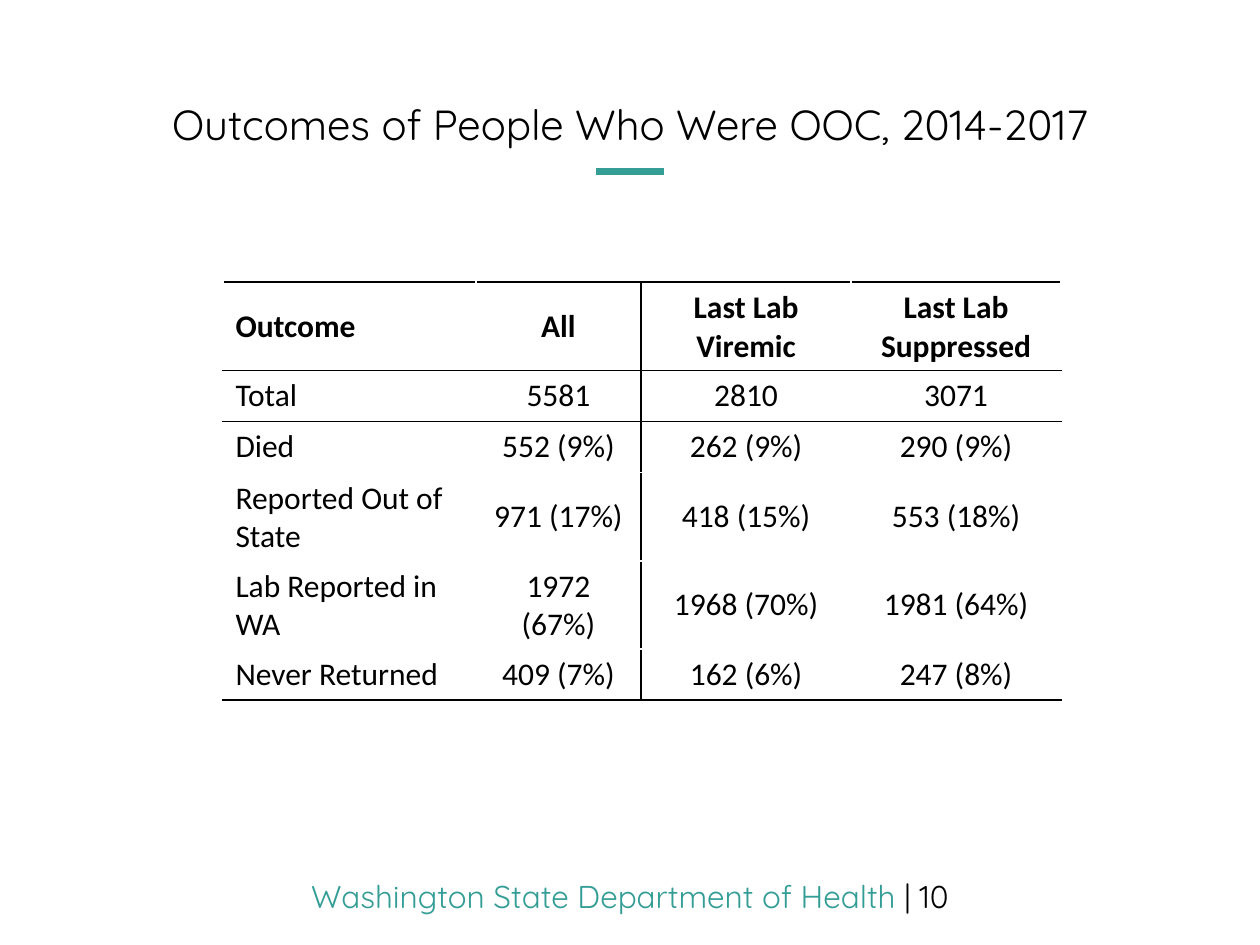
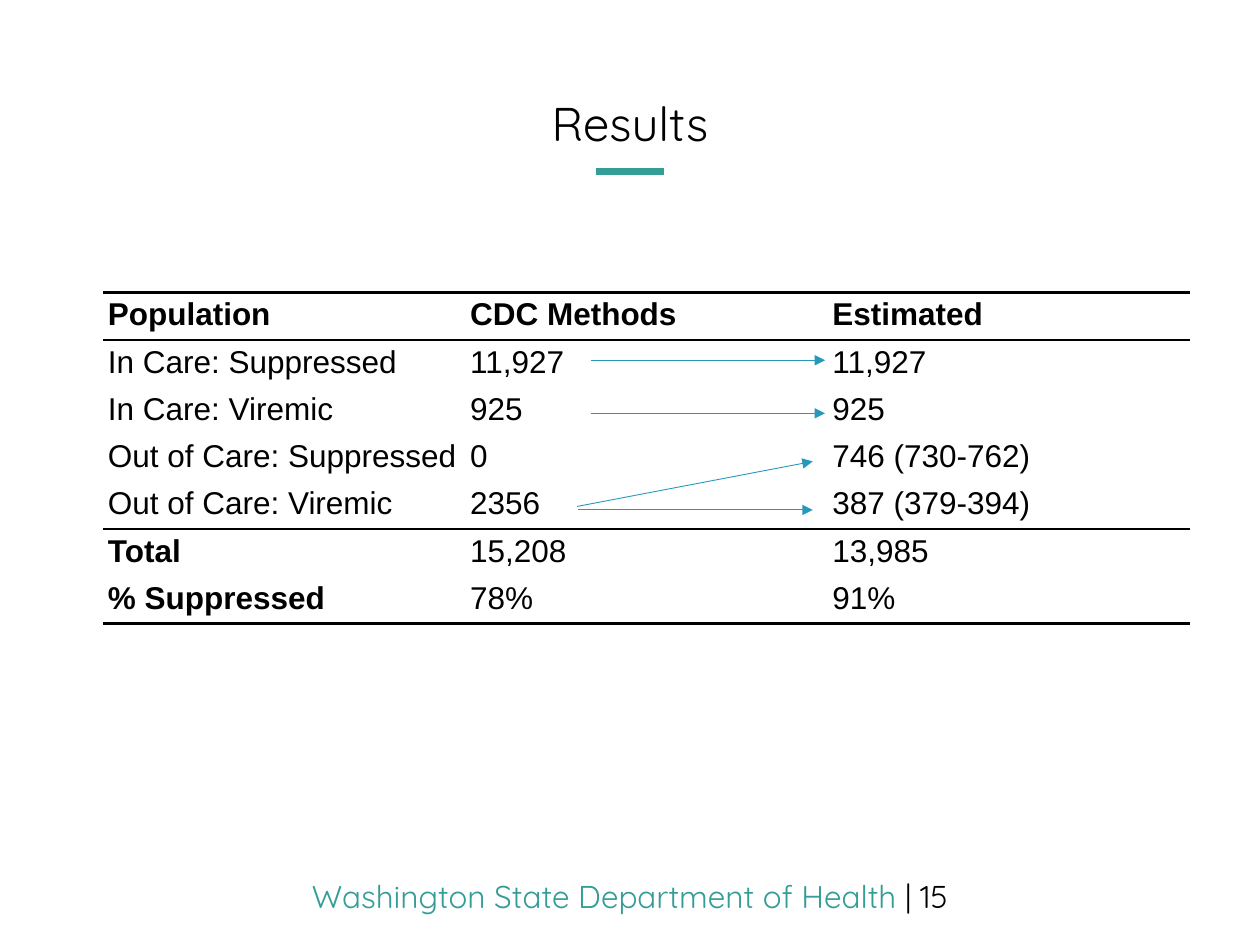
"""Build two table slides on HIV care outcomes and suppression results."""
from dataclasses import dataclass

from lxml import etree
from pptx import Presentation
from pptx.dml.color import RGBColor
from pptx.enum.shapes import MSO_CONNECTOR
from pptx.enum.text import MSO_ANCHOR, MSO_AUTO_SIZE, PP_ALIGN
from pptx.oxml.ns import qn
from pptx.util import Pt

STRAIGHT = MSO_CONNECTOR.STRAIGHT
TOP, MIDDLE = MSO_ANCHOR.TOP, MSO_ANCHOR.MIDDLE
LEFT, CENTER = PP_ALIGN.LEFT, PP_ALIGN.CENTER
NO_AUTOSIZE = MSO_AUTO_SIZE.NONE
TITLE_ONLY = 5


@dataclass(frozen=True)
class Theme:
    """Colours, fonts and type sizes."""
    ink: str = "000000"
    paper: str = "FFFFFF"
    accent: str = "349D96"
    arrow: str = "2699BB"
    display: str = "Quicksand"
    text_size: float = 18


THEME = Theme()
WIDTH, HEIGHT = 720, 540
AGENCY = "Washington State Department of Health "

OUTCOMES = {
    "title": "Outcomes of People Who Were OOC, 2014-2017", "title_size": 24, "page": 10,
    "rows": [
        ("Outcome", "All", "Last Lab Viremic", "Last Lab Suppressed"),
        ("Total", "5581", "2810", "3071"),
        ("Died", "552 (9%)", "262 (9%)", "290 (9%)"),
        ("Reported Out of State", "971 (17%)", "418 (15%)", "553 (18%)"),
        ("Lab Reported in WA", "1972 (67%)", "1968 (70%)", "1981 (64%)"),
        ("Never Returned", "409 (7%)", "162 (6%)", "247 (8%)"),
    ],
    "at": (127.4, 161.3), "cols": (144.5, 94.5, 120, 120), "row_height": 29.2,
    "font": "Calibri", "margins": (7.2, 3.6), "value_align": CENTER, "value_anchor": MIDDLE,
    "bold_labels": (), "row_rules": {0: 1.5, 1: 1, 2: 1, 6: 1.5}, "col_rules": {2: 1},
    "blank_edge": THEME.paper, "arrows": [],
}
RESULTS = {
    "title": "Results", "title_size": 27, "page": 15,
    "rows": [
        ("Population", "CDC Methods", "Estimated"),
        ("In Care: Suppressed", "11,927", "11,927"),
        ("In Care: Viremic", "925", "925"),
        ("Out of Care: Suppressed", "0", "746 (730-762)"),
        ("Out of Care: Viremic", "2356", "387 (379-394)"),
        ("Total", "15,208", "13,985"),
        ("% Suppressed", "78%", "91%"),
    ],
    "at": (59, 167.2), "cols": (207, 207, 207), "row_height": 26.1,
    "font": "Arial", "margins": (2.7, 2.7), "value_align": LEFT, "value_anchor": TOP,
    "bold_labels": (5, 6), "row_rules": {0: 1.5, 1: 1, 5: 1, 7: 1.5}, "col_rules": {},
    "blank_edge": None,
    "arrows": [(337.5, 205.9, 471.5, 205.9), (337.5, 236.2, 471.5, 236.2),
               (330.5, 291.4, 464.4, 291.4), (329.8, 289.4, 464.4, 263.7)],
}


def apply(target, **values):
    for name, value in values.items():
        setattr(target, name, value)


def add_run(p, text, size, font=THEME.display, color=THEME.ink, bold=False):
    r = p.add_run()
    r.text = text
    apply(r.font, size=Pt(size), name=font, bold=bold)
    r.font.color.rgb = RGBColor.from_string(color)


def add_line(s, ends, color, width, arrow=False):
    line = s.shapes.add_connector(STRAIGHT, *map(Pt, ends))
    line.line.color.rgb = RGBColor.from_string(color)
    line.line.width = Pt(width)
    sp_pr = line._element.spPr
    if arrow:
        etree.SubElement(sp_pr.find(qn("a:ln")), qn("a:tailEnd"), type="triangle")
    etree.SubElement(sp_pr, qn("a:effectLst"))


def set_borders(cell, edges):
    tc_pr = cell._tc.get_or_add_tcPr()
    for i, (side, (color, width)) in enumerate(edges.items()):
        ln = etree.Element(qn(f"a:ln{side}"), w=str(Pt(width)))
        if color:
            fill = etree.SubElement(ln, qn("a:solidFill"))
            etree.SubElement(fill, qn("a:srgbClr"), val=color)
        else:
            etree.SubElement(ln, qn("a:noFill"))
        tc_pr.insert(i, ln)


def add_table(s, d):
    rows, cols = d["rows"], d["cols"]
    size = (sum(cols), d["row_height"] * len(rows))
    table = s.shapes.add_table(len(rows), len(cols), *map(Pt, d["at"] + size)).table
    apply(table, first_row=False, horz_banding=False)
    for column, width in zip(table.columns, cols):
        column.width = Pt(width)

    def edge(rules, i):
        return (THEME.ink, rules[i]) if i in rules else (d["blank_edge"], 1)

    side_margin, end_margin = map(Pt, d["margins"])
    for i, row in enumerate(rows):
        for j, text in enumerate(row):
            cell = table.cell(i, j)
            apply(cell, margin_left=side_margin, margin_right=side_margin,
                  margin_top=end_margin, margin_bottom=end_margin,
                  vertical_anchor=d["value_anchor"] if j or not i else TOP)
            cell.fill.background()
            set_borders(cell, {"L": edge(d["col_rules"], j), "R": edge(d["col_rules"], j + 1),
                               "T": edge(d["row_rules"], i), "B": edge(d["row_rules"], i + 1)})
            p = cell.text_frame.paragraphs[0]
            p.alignment = d["value_align"] if j else LEFT
            bold = i == 0 or (j == 0 and i in d["bold_labels"])
            add_run(p, text, THEME.text_size, d["font"], bold=bold)


def add_frame(s, d):
    title = s.shapes.title
    apply(title, left=Pt(0), top=Pt(53.3), width=Pt(WIDTH), height=Pt(38))
    apply(title.text_frame, word_wrap=True, auto_size=NO_AUTOSIZE, vertical_anchor=MIDDLE)
    p = title.text_frame.paragraphs[0]
    apply(p, alignment=CENTER, line_spacing=0.9)
    add_run(p, d["title"], d["title_size"])
    add_line(s, (340.5, 98, 379.5, 98), THEME.accent, 4)

    footer = s.shapes.add_textbox(Pt(0), Pt(497.5), Pt(WIDTH), Pt(29))
    footer.text_frame.word_wrap = True
    p = footer.text_frame.paragraphs[0]
    p.alignment = CENTER
    add_run(p, AGENCY, THEME.text_size, color=THEME.accent)
    add_run(p, f"| {d['page']}", THEME.text_size)


def main():
    prs = Presentation()
    apply(prs, slide_width=Pt(WIDTH), slide_height=Pt(HEIGHT))
    for d in (OUTCOMES, RESULTS):
        s = prs.slides.add_slide(prs.slide_layouts[TITLE_ONLY])
        add_frame(s, d)
        add_table(s, d)
        for ends in d["arrows"]:
            add_line(s, ends, THEME.arrow, 0.5, arrow=True)
    prs.save("out.pptx")


if __name__ == "__main__":
    main()
